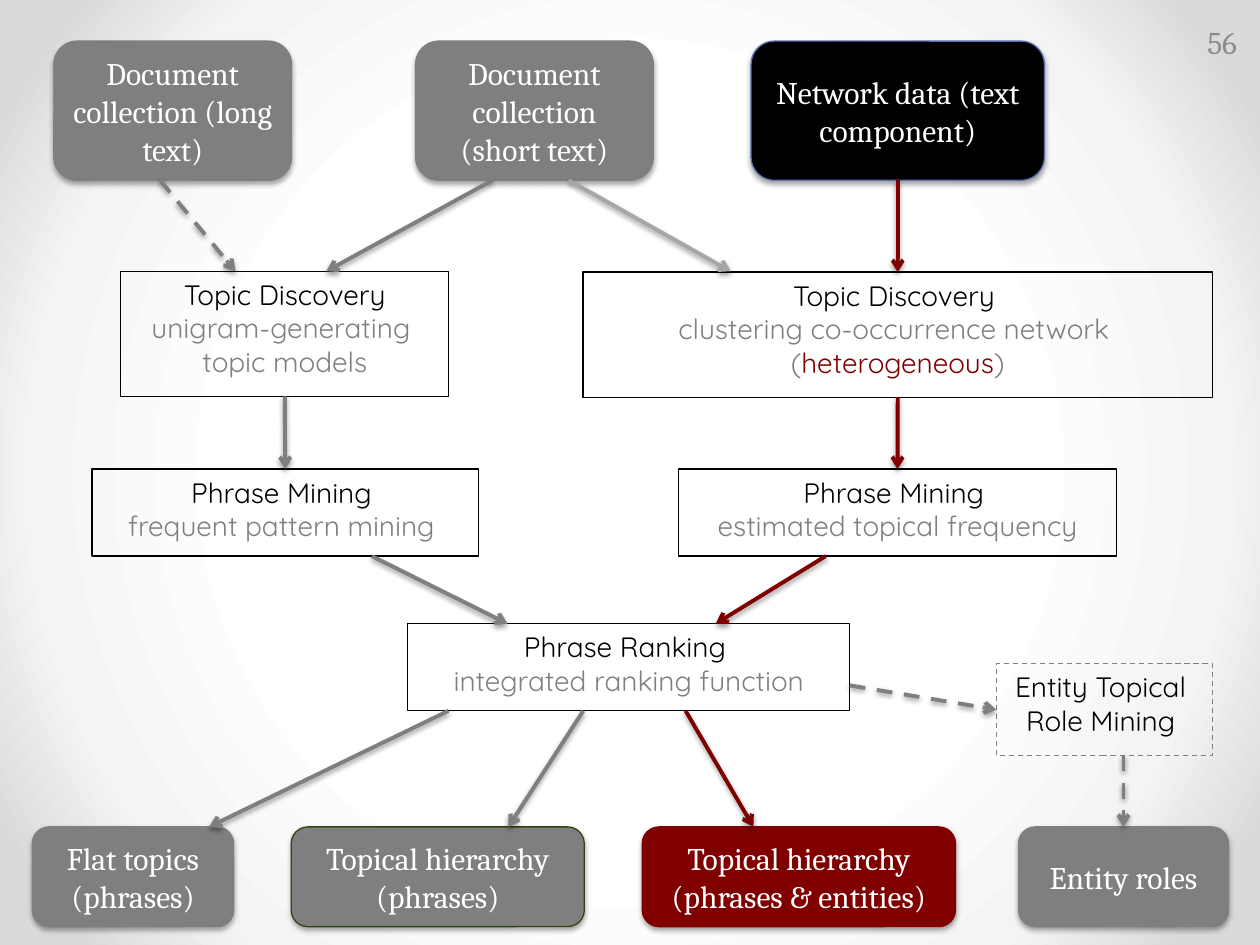
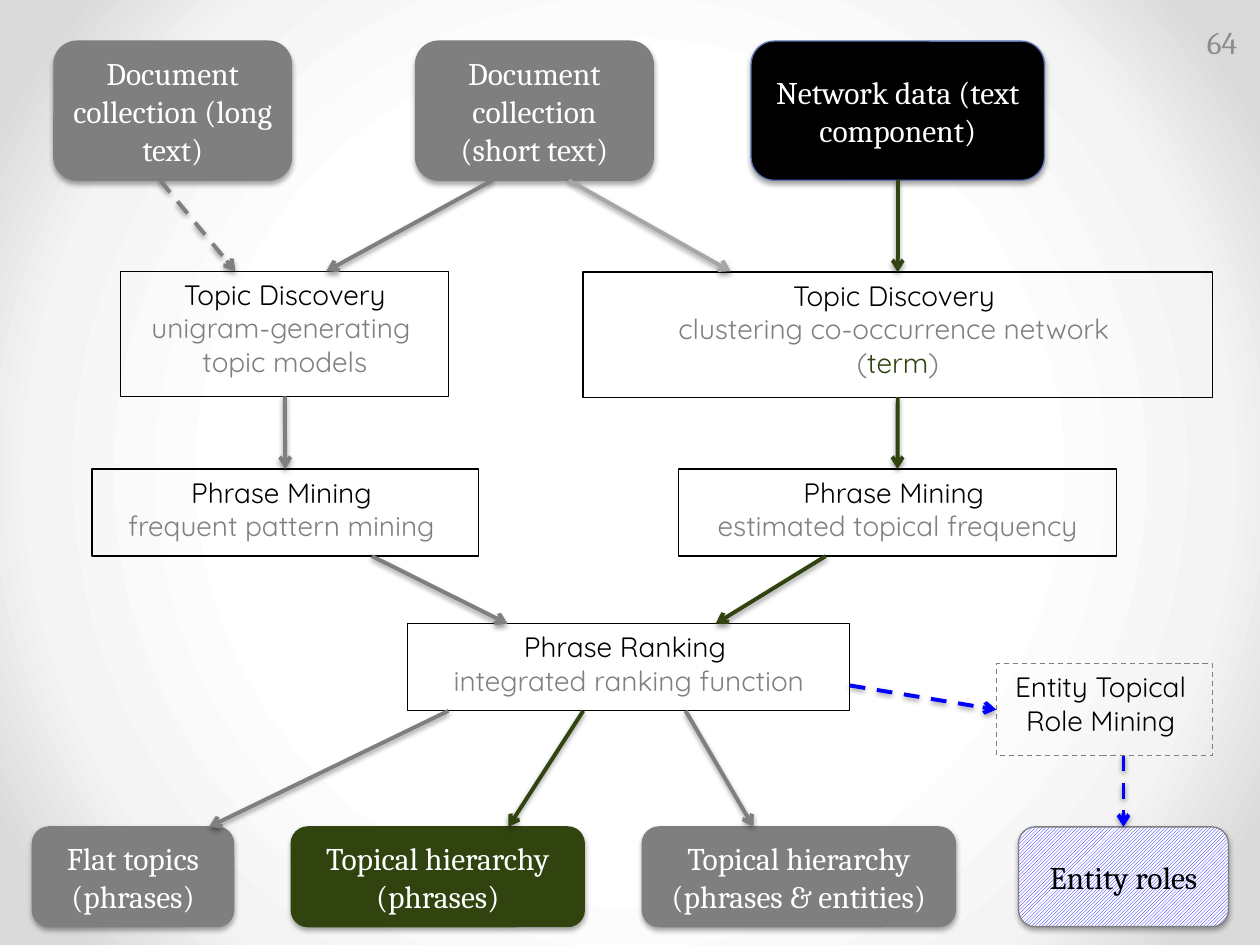
from dataclasses import dataclass
from typing import NamedTuple

from pptx import Presentation
from pptx.dml.color import RGBColor
from pptx.enum.dml import MSO_LINE, MSO_PATTERN
from pptx.enum.shapes import MSO_CONNECTOR, MSO_SHAPE
from pptx.enum.text import MSO_ANCHOR, PP_ALIGN
from pptx.oxml import parse_xml
from pptx.oxml.ns import nsdecls
from pptx.util import Pt

# Shared look
BLACK, WHITE, BLUE = "000000", "FFFFFF", "0000FF"
GREY, DETAIL, PALE, PAGE_GREY = "7F7F7F", "808080", "A6A6A6", "8C8C8C"
MAROON, GREEN, GREEN_EDGE, NETWORK_EDGE = "800000", "314410", "314510", "5C72B2"
STEP_FONT, DATA_FONT = "Quicksand", "Cambria"
BACKDROP = ((50, WHITE), (76, "F4F4F4"), (92, "DADADA"))
TOP, LEFT, BOTTOM = 0, 1, 2

# Heights shared by the rows of the diagram
INPUT_TOP, INPUT_HEIGHT = 23.5, 79.5
TOPIC_TOP, TOPIC_HEIGHT = 155, 71.5
MINING_TOP, STEP_HEIGHT = 268, 49.8
MINING_BOTTOM = MINING_TOP + STEP_HEIGHT
RANKING_TOP = 356.4
RANKING_BOTTOM = RANKING_TOP + STEP_HEIGHT
OUTPUT_TOP, OUTPUT_HEIGHT = 472.5, 57


class Span(NamedTuple):
    text: str
    color: str


class Joint(NamedTuple):
    box: str
    side: int


Lines = tuple[tuple[Span, ...], ...]
End = Joint | tuple[float, float]


@dataclass(frozen=True)
class Step:
    key: str
    left: float
    top: float
    width: float
    height: float
    lines: Lines
    dashed: bool = False


@dataclass(frozen=True)
class DataCard:
    key: str
    left: float
    top: float
    width: float
    height: float
    lines: tuple[str, ...]
    fill: str = GREY
    edge: str = GREY
    hatched: bool = False


@dataclass(frozen=True)
class Arrow:
    start: End
    end: End
    color: str = GREY
    dashed: bool = False


@dataclass(frozen=True)
class Route:
    """The path through the framework that one slide highlights."""
    page: str
    color: str
    network_kind: str
    hierarchy: str = GREY
    entity_hierarchy: str = GREY
    roles: str = GREY


ROUTES = (
    Route("56", MAROON, "heterogeneous", entity_hierarchy=MAROON),
    Route("64", GREEN, "term", hierarchy=GREEN, roles=BLUE),
)


def rgb(color: str) -> RGBColor:
    return RGBColor.from_string(color)


def titled(title: str, *details: str) -> Lines:
    return ((Span(title, BLACK),), *((Span(text, DETAIL),) for text in details))


def steps(route: Route) -> tuple[Step, ...]:
    unigram = ((Span("Topic Discovery ", BLACK), Span("unigram-generating ", DETAIL)),
               (Span("topic models", DETAIL),))
    clustering = titled("Topic Discovery ", "clustering co-occurrence network ") + (
        (Span("(", DETAIL), Span(route.network_kind, route.color), Span(")", DETAIL)),)
    return (
        Step("unigram", 69, TOPIC_TOP, 187.5, TOPIC_HEIGHT, unigram),
        Step("clustering", 333.2, TOPIC_TOP + 0.5, 359.6, TOPIC_HEIGHT, clustering),
        Step("patterns", 52.6, MINING_TOP, 220.8, STEP_HEIGHT,
             titled("Phrase Mining ", "frequent pattern mining ")),
        Step("frequency", 387.7, MINING_TOP, 250.4, STEP_HEIGHT,
             titled("Phrase Mining ", "estimated topical frequency")),
        Step("ranking", 233, RANKING_TOP, 252.6, STEP_HEIGHT,
             titled("Phrase Ranking ", "integrated ranking function")),
        Step("role mining", 569.3, 379.2, 123.5, 52.6,
             ((Span("Entity Topical ", BLACK),), (Span("Role Mining ", BLACK),)), True),
    )


def cards(route: Route) -> tuple[DataCard, ...]:
    inputs, outputs = (INPUT_TOP, INPUT_HEIGHT), (OUTPUT_TOP, OUTPUT_HEIGHT)

    def card(key: str, left: float, row: tuple[float, float], width: float,
             *lines: str, **look) -> DataCard:
        return DataCard(key, left, row[0], width, row[1], lines, **look)

    return (
        card("long text", 30.8, inputs, 135.8, "Document collection (long text)"),
        card("short text", 237.5, inputs, 135.8, "Document collection (short text)"),
        card("network", 429.2, inputs, 167.6, "Network data (text component)",
             fill=BLACK, edge=NETWORK_EDGE),
        card("flat", 18.5, outputs, 115, "Flat topics", "(phrases)"),
        card("hierarchy", 166.4, outputs, 167.5, "Topical hierarchy", "(phrases)",
             fill=route.hierarchy, edge=GREEN_EDGE),
        card("entity hierarchy", 367, outputs, 179, "Topical hierarchy",
             "(phrases & entities)", fill=route.entity_hierarchy,
             edge=route.entity_hierarchy),
        card("roles", 582, outputs, 120, "Entity roles", fill=route.roles,
             hatched=route.roles != GREY),
    )


def arrows(route: Route) -> tuple[Arrow, ...]:
    input_bottom = INPUT_TOP + INPUT_HEIGHT
    return (
        # Inputs to topic discovery
        Arrow((91.5, input_bottom), (134.5, TOPIC_TOP), dashed=True),
        Arrow((281.5, input_bottom), (186.5, TOPIC_TOP)),
        Arrow((325, input_bottom), (417.5, TOPIC_TOP), PALE),
        Arrow(Joint("network", BOTTOM), Joint("clustering", TOP), route.color),
        # Topic discovery to phrase mining
        Arrow(Joint("unigram", BOTTOM), Joint("patterns", TOP)),
        Arrow(Joint("clustering", BOTTOM), Joint("frequency", TOP), route.color),
        # Phrase mining to ranking
        Arrow((212.5, MINING_BOTTOM), (290, RANKING_TOP)),
        Arrow((471.8, MINING_BOTTOM), (409, RANKING_TOP), route.color),
        # Ranking to outputs
        Arrow((256.3, RANKING_BOTTOM), (119.5, OUTPUT_TOP)),
        Arrow((333.3, RANKING_BOTTOM), (290.5, OUTPUT_TOP), route.hierarchy),
        Arrow((391.8, RANKING_BOTTOM), (430.5, OUTPUT_TOP), route.entity_hierarchy),
        # Entity roles branch
        Arrow((485.6, 391.7), Joint("role mining", LEFT), route.roles, True),
        Arrow((642, 431.8), Joint("roles", TOP), route.roles, True),
    )


def set_backdrop(prs: Presentation) -> None:
    stops = "".join(f'<a:gs pos="{pos * 1000}"><a:srgbClr val="{color}"/></a:gs>'
                    for pos, color in BACKDROP)
    master = prs.slide_master
    master.background.fill.solid()
    properties = master._element.xpath("p:cSld/p:bg/p:bgPr")[0]
    properties.replace(properties[0], parse_xml(
        f'<a:gradFill {nsdecls("a")} rotWithShape="1"><a:gsLst>{stops}</a:gsLst>'
        '<a:path path="circle"><a:fillToRect l="50000" t="50000" r="50000" b="50000"/>'
        '</a:path></a:gradFill>'))


def add_shadow(shape, alpha: int, distance: float) -> None:
    shape._element.spPr.append(parse_xml(
        f'<a:effectLst {nsdecls("a")}><a:outerShdw blurRad="{Pt(3.1)}" '
        f'dist="{Pt(distance)}" dir="5400000" rotWithShape="0">'
        f'<a:srgbClr val="{BLACK}"><a:alpha val="{alpha * 1000}"/></a:srgbClr>'
        '</a:outerShdw></a:effectLst>'))


def set_line(line, color: str, width: float, dashed: bool = False) -> None:
    line.color.rgb = rgb(color)
    line.width = Pt(width)
    if dashed:
        line.dash_style = MSO_LINE.DASH


def write(shape, lines: Lines, font: str, size: float, anchor: MSO_ANCHOR,
          align: PP_ALIGN = PP_ALIGN.CENTER) -> None:
    frame = shape.text_frame
    frame.word_wrap = True
    frame.vertical_anchor = anchor
    for index, spans in enumerate(lines):
        paragraph = frame.add_paragraph() if index else frame.paragraphs[0]
        paragraph.alignment = align
        for span in spans:
            run = paragraph.add_run()
            run.text = span.text
            run.font.name, run.font.size = font, Pt(size)
            run.font.color.rgb = rgb(span.color)


def place(slide, kind: MSO_SHAPE, box: Step | DataCard):
    return slide.shapes.add_shape(
        kind, Pt(box.left), Pt(box.top), Pt(box.width), Pt(box.height))


def draw_step(slide, step: Step):
    shape = place(slide, MSO_SHAPE.RECTANGLE, step)
    shape.fill.background()
    set_line(shape.line, DETAIL if step.dashed else BLACK, 0.75, step.dashed)
    shape.shadow.inherit = False
    write(shape, step.lines, STEP_FONT, 16, MSO_ANCHOR.TOP)
    return shape


def draw_card(slide, card: DataCard):
    shape = place(slide, MSO_SHAPE.ROUNDED_RECTANGLE, card)
    if card.hatched:
        shape.fill.patterned()
        shape.fill.pattern = MSO_PATTERN.LIGHT_UPWARD_DIAGONAL
        shape.fill.fore_color.rgb = rgb(card.fill)
        shape.fill.back_color.rgb = rgb(WHITE)
    else:
        shape.fill.solid()
        shape.fill.fore_color.rgb = rgb(card.fill)
    set_line(shape.line, card.edge, 0.75)
    add_shadow(shape, 35, 1.8)
    ink = BLACK if card.hatched else WHITE
    write(shape, tuple((Span(text, ink),) for text in card.lines),
          DATA_FONT, 18, MSO_ANCHOR.MIDDLE)
    return shape


def draw_arrow(slide, arrow: Arrow, boxes: dict) -> None:
    free = [(0, 0) if isinstance(end, Joint) else end for end in (arrow.start, arrow.end)]
    connector = slide.shapes.add_connector(
        MSO_CONNECTOR.STRAIGHT, *(Pt(value) for point in free for value in point))
    for end, join in ((arrow.start, connector.begin_connect),
                      (arrow.end, connector.end_connect)):
        if isinstance(end, Joint):
            join(boxes[end.box], end.side)
    set_line(connector.line, arrow.color, 2.25, arrow.dashed)
    connector.line._get_or_add_ln().append(
        parse_xml(f'<a:tailEnd {nsdecls("a")} type="arrow"/>'))
    add_shadow(connector, 38, 1.6)


def draw_framework(prs: Presentation, route: Route) -> None:
    slide = prs.slides.add_slide(prs.slide_layouts[6])
    boxes = {step.key: draw_step(slide, step) for step in steps(route)}
    boxes |= {card.key: draw_card(slide, card) for card in cards(route)}
    for arrow in arrows(route):
        draw_arrow(slide, arrow, boxes)
    page = slide.shapes.add_textbox(Pt(670), Pt(9.5), Pt(44), Pt(29))
    write(page, ((Span(route.page, PAGE_GREY),),), DATA_FONT, 18,
          MSO_ANCHOR.MIDDLE, PP_ALIGN.RIGHT)


def main() -> None:
    prs = Presentation()
    prs.slide_width, prs.slide_height = Pt(720), Pt(540)
    set_backdrop(prs)
    for route in ROUTES:
        draw_framework(prs, route)
    prs.save("out.pptx")


if __name__ == "__main__":
    main()
